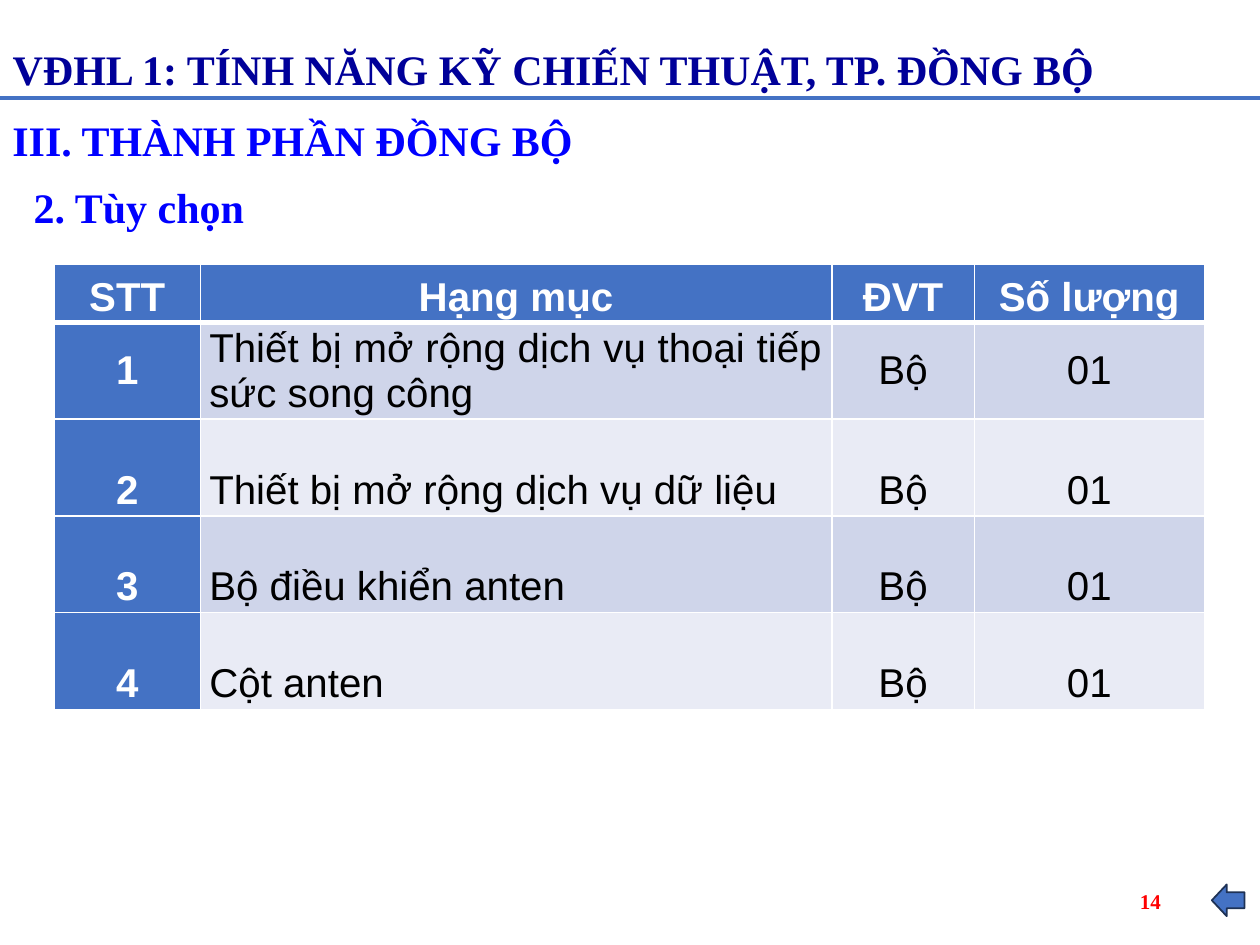
import pptx
import pptx.util
import pptx.dml.color
import pptx.enum.shapes
import pptx.enum.text
import pptx.oxml
from dataclasses import dataclass
from lxml import etree

Cm, Pt = pptx.util.Cm, pptx.util.Pt
ALIGN = pptx.enum.text.PP_ALIGN
ANCHOR = pptx.enum.text.MSO_ANCHOR
SERIF, SANS = "Times New Roman", "Arial"
BLUE, WHITE, BLACK = "4472C4", "FFFFFF", "000000"
BANDS = ("CFD5EA", "E9EBF5")


@dataclass
class Label:
    text: str
    box: tuple
    style: dict


def color(code: str):
    return pptx.dml.color.RGBColor.from_string(code)


def paint(part, code: str) -> None:
    part.fill.solid()
    part.fill.fore_color.rgb = color(code)


def write(frame, text: str, *, font=SERIF, size=24, ink=BLACK, bold=True,
          align=ALIGN.JUSTIFY, lead=1.0, before=0, after=0) -> None:
    frame.word_wrap = True
    par = frame.paragraphs[0]
    par.alignment, par.line_spacing = align, lead
    par.space_before, par.space_after = Pt(before), Pt(after)
    run = par.add_run()
    run.text = text
    run.font.name, run.font.size = font, Pt(size)
    run.font.bold, run.font.color.rgb = bold, color(ink)


def place(shape, box: tuple) -> None:
    shape.left, shape.top, shape.width, shape.height = map(Cm, box)


def label(slide, item: Label, anchor=ANCHOR.TOP, inset=0.25) -> None:
    frame = slide.shapes.add_textbox(*map(Cm, item.box)).text_frame
    frame.vertical_anchor, frame.margin_left = anchor, Cm(inset)
    write(frame, item.text, **item.style)


def border(cell, low: float) -> None:
    """White lines round a cell; the bottom one is low points wide."""
    props = cell._tc.get_or_add_tcPr()
    names = ("lnL", "lnR", "lnT", "lnB")
    for spot, (name, wide) in enumerate(zip(names, (1, 1, 1, low))):
        line = pptx.oxml.parse_xml(
            '<a:%s xmlns:a="http://schemas.openxmlformats.org/drawingml/2006/main" '
            'w="%d"><a:solidFill><a:srgbClr val="%s"/></a:solidFill></a:%s>'
            % (name, Pt(wide), WHITE, name))
        props.insert(spot, line)


def grid(slide, rows: list, wides: tuple, highs: list) -> None:
    frame = slide.shapes.add_table(len(rows), len(wides), Cm(1.09), Cm(5.33),
                                   Cm(sum(wides)), Cm(sum(highs)))
    table = frame.table
    for col, wide in zip(table.columns, wides):
        col.width = Cm(wide)
    for r, row in enumerate(rows):
        table.rows[r].height = Cm(highs[r])
        gap = 6 if r > 1 else 0
        lead = {0: 1.2, 1: 1.0}.get(r, 2.0)
        for c, text in enumerate(row):
            cell = table.cell(r, c)
            head = r == 0 or c == 0
            cell.margin_left = cell.margin_right = Cm(0.18)
            cell.margin_top = cell.margin_bottom = 0
            cell.vertical_anchor = ANCHOR.MIDDLE
            paint(cell, BLUE if head else BANDS[(r - 1) % 2])
            border(cell, 3 if r == 0 else 1)
            write(cell.text_frame, text, font=SANS, size=23, bold=head,
                  ink=WHITE if head else BLACK, lead=lead, before=gap, after=gap,
                  align=ALIGN.JUSTIFY if r and c == 1 else ALIGN.CENTER)


def main() -> None:
    deck = pptx.Presentation()
    deck.slide_width, deck.slide_height = Cm(25.4), Cm(19.05)
    slide = deck.slides.add_slide(deck.slide_layouts[5])

    # Title and the rule under it
    title = slide.shapes.title
    place(title, (0, 0.58, 25.4, 1.45))
    title.text_frame.vertical_anchor = ANCHOR.BOTTOM
    write(title.text_frame, "VĐHL 1: TÍNH NĂNG KỸ CHIẾN THUẬT, TP. ĐỒNG BỘ",
          ink="000099")
    rule = slide.shapes.add_connector(pptx.enum.shapes.MSO_CONNECTOR.STRAIGHT,
                                      0, Cm(1.98), Cm(25.4), Cm(1.98))
    rule.line.color.rgb, rule.line.width = color(BLUE), Pt(2.25)
    etree.SubElement(rule._element.spPr, pptx.oxml.ns.qn("a:effectLst"))

    # Headings
    label(slide, Label("III. THÀNH PHẦN ĐỒNG BỘ", (0, 2.18, 25.4, 1.27),
                       dict(ink="0000FF", before=12)))
    label(slide, Label("2. Tùy chọn", (0, 3.43, 25.4, 1.4),
                       dict(ink="0000FF", lead=1.1, after=10)), inset=0.68)

    # Table of optional items
    items = ("Thiết bị mở rộng dịch vụ thoại tiếp sức song công",
             "Thiết bị mở rộng dịch vụ dữ liệu",
             "Bộ điều khiển anten", "Cột anten")
    rows = [("STT", "Hạng mục", "ĐVT", "Số lượng")]
    rows += [(str(n), item, "Bộ", "01") for n, item in enumerate(items, 1)]
    grid(slide, rows, (2.95, 12.73, 2.87, 4.64), [1.16] + [1.95] * len(items))

    # Page number and back arrow
    label(slide, Label("14", (17.93, 17.65, 5.72, 1.02),
                       dict(size=12, ink="FF0000", align=ALIGN.RIGHT)),
          anchor=ANCHOR.MIDDLE)
    back = slide.shapes.add_shape(pptx.enum.shapes.MSO_SHAPE.LEFT_ARROW,
                                  *map(Cm, (24.43, 17.83, 0.66, 0.64)))
    back.adjustments[0], back.adjustments[1] = 0.5, 0.47
    back.shadow.inherit = False
    paint(back, BLUE)
    back.line.color.rgb, back.line.width = color("1E3256"), Pt(1)

    deck.save("out.pptx")


if __name__ == "__main__":
    main()
